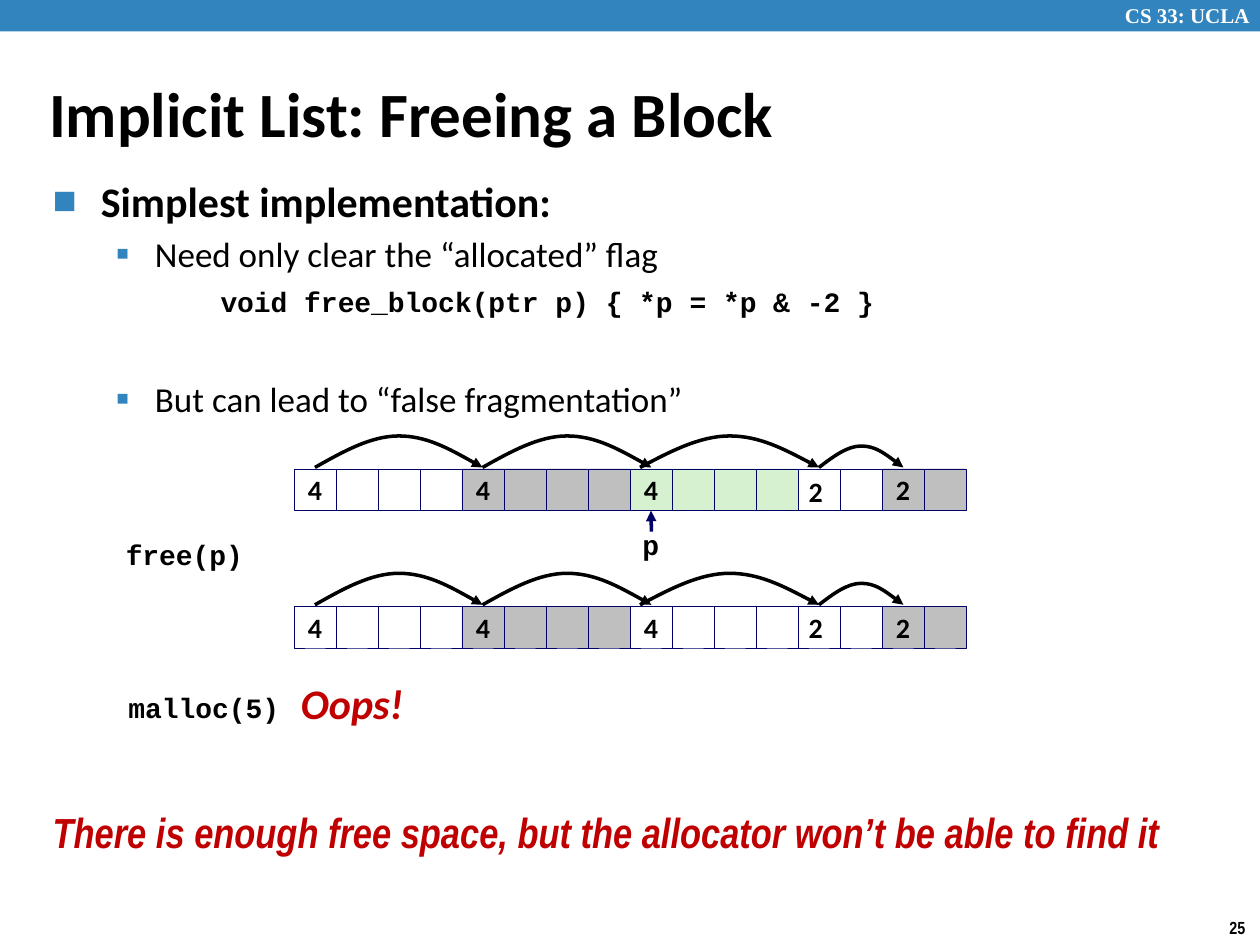
from lxml import etree
from pptx import Presentation, util as u
from pptx.dml.color import RGBColor
from pptx.enum import shapes, text
from pptx.oxml.ns import qn

Inches, Pt = u.Inches, u.Pt
hue = RGBColor.from_string
BLUE, NAVY, RED, BLACK, WHITE, GREY, GREEN = (
    "3284BF", "000066", "C00000", "000000", "FFFFFF", "BFBFBF", "D5F1CF")
SANS, MONO, THIN = "Calibri", "Courier New", "Arial Narrow"


def write(para, words, size, face=SANS, color=BLACK, bold=True, slant=False):
    run = para.add_run()
    run.text = words
    font = run.font
    font.size, font.name, font.bold, font.italic = Pt(size), face, bold, slant
    font.color.rgb = hue(color)


def arrow(item, color):
    item.line.color.rgb = hue(color)
    item.line.width = Pt(2)
    etree.SubElement(item.line._get_or_add_ln(), qn("a:tailEnd"), type="triangle")
    etree.SubElement(item._element.spPr, qn("a:effectLst"))


prs = Presentation()
prs.slide_width, prs.slide_height = Inches(10), Inches(7.5)
slide = prs.slides.add_slide(prs.slide_layouts[1])
title, body = slide.placeholders
parts = slide.shapes

# Header bar
bar = parts.add_shape(shapes.MSO_SHAPE.RECTANGLE, 0, 0, prs.slide_width, Inches(0.25))
bar.shadow.inherit = False
bar.fill.solid()
bar.fill.fore_color.rgb = hue(BLUE)
bar.line.fill.background()

# Title
title.left, title.top, title.width, title.height = map(Inches, (0.29, 0.58, 7.88, 0.63))
frame = title.text_frame
frame.auto_size = text.MSO_AUTO_SIZE.NONE
frame.vertical_anchor = text.MSO_ANCHOR.MIDDLE
para = frame.paragraphs[0]
para.alignment = text.PP_ALIGN.LEFT
write(para, "Implicit List: Freeing a Block", 36)

# Body list: words, level, size, face, bold, space before, margin, indent, bullet, bullet size
body.left, body.top, body.width, body.height = map(Inches, (0.32, 1.34, 9.09, 4.75))
frame = body.text_frame
frame.auto_size = text.MSO_AUTO_SIZE.NONE
lines = [
    ("Simplest implementation:", 0, 24, SANS, True, 0, 0.38, -0.38, "■", 60),
    ("Need only clear the “allocated” flag", 1, 20, SANS, False, 4, 0.81, -0.31, "▪", 110),
    ("void free_block(ptr p) { *p = *p & -2 }", 2, 16, MONO, True, 5.5, 1.33, 0, None, 0),
    ("But can lead to “false fragmentation”", 1, 20, SANS, False, 34, 0.81, -0.31, "▪", 110),
]
for i, (words, level, size, face, bold, gap, left, dent, mark, scale) in enumerate(lines):
    para = frame.add_paragraph() if i else frame.paragraphs[0]
    para.level = level
    props = para._p.get_or_add_pPr()
    props.set("marL", str(Inches(left)))
    props.set("indent", str(Inches(dent)))
    if mark:
        tint = etree.SubElement(props, qn("a:buClr"))
        etree.SubElement(tint, qn("a:srgbClr"), val=BLUE)
        etree.SubElement(props, qn("a:buSzPct"), val=str(scale * 1000))
        etree.SubElement(props, qn("a:buFont"), typeface=SANS)
        etree.SubElement(props, qn("a:buChar"), char=mark)
    else:
        etree.SubElement(props, qn("a:buNone"))
    para.space_before = Pt(gap)
    write(para, words, size, face, BLACK, bold)

# Heap rows: the third block is allocated above and free below
side, start = 1 / 3, 7 / 3
sizes = {0: "4", 4: "4", 8: "4", 14: "2"}
arcs = [(2.5, 3.83, 0.25), (3.83, 5.17, 0.25), (5.08, 6.5, 0.25), (6.5, 7.17, 0.17)]
rows = []
for top, third in ((3.72, GREEN), (4.81, WHITE)):
    fills = [WHITE] * 4 + [GREY] * 4 + [third] * 4 + [WHITE] * 2 + [GREY] * 2
    cells = []
    for i, fill in enumerate(fills):
        cell = parts.add_shape(shapes.MSO_SHAPE.RECTANGLE, Inches(start + i * side),
                               Inches(top), Inches(side), Inches(side))
        cell.shadow.inherit = False
        cell.fill.solid()
        cell.fill.fore_color.rgb = hue(fill)
        cell.line.color.rgb = hue(NAVY)
        cell.line.width = Pt(0.25)
        if i in sizes:
            frame = cell.text_frame
            frame.word_wrap = False
            frame.vertical_anchor = text.MSO_ANCHOR.MIDDLE
            frame.paragraphs[0].alignment = text.PP_ALIGN.CENTER
            write(frame.paragraphs[0], sizes[i], 16)
        cells.append(cell)
    rows.append(cells)

    # Curved links from block to block
    base = top - 0.01
    for x1, x2, rise in arcs:
        dots = [(Inches(x1 + (x2 - x1) * k / 6), Inches(base - rise * lift))
                for k, lift in enumerate((0, 0.5, 1, 1, 1, 0.5, 0))]
        pen = parts.build_freeform(*dots[0])
        pen.add_line_segments(dots[1:], close=False)
        arc = pen.convert_to_shape()
        # Turn each three straight steps into one cubic curve
        steps = list(arc._element.iter(qn("a:lnTo")))
        for k in (0, 3):
            curve = etree.SubElement(steps[0].getparent(), qn("a:cubicBezTo"))
            for step in steps[k:k + 3]:
                curve.append(step[0])
        for step in steps:
            step.getparent().remove(step)
        arc.fill.background()
        arrow(arc, BLACK)

# Pointer to the block being freed
ptr = parts.add_connector(shapes.MSO_CONNECTOR.STRAIGHT, Inches(5.17), Inches(4.22),
                          Inches(5.17), Inches(4.05))
ptr.end_connect(rows[0][8], 2)
arrow(ptr, NAVY)

# Labels: words, left, top, width, height, size, face, colour, slant
labels = [
    ("CS 33: UCLA", 8.83, -0.03, 1.24, 0.3, 12, "Times New Roman", WHITE, False),
    ("25", 9.66, 7.23, 0.34, 0.27, 10, THIN, BLACK, False),
    ("2", 6.32, 3.72, 0.31, 0.37, 16, SANS, BLACK, False),
    ("2", 6.32, 4.8, 0.31, 0.37, 16, SANS, BLACK, False),
    ("p", 5, 4.14, 0.33, 0.36, 16, MONO, BLACK, False),
    ("free(p)", 0.9, 4.22, 1.14, 0.36, 16, MONO, BLACK, False),
    ("malloc(5)", 0.92, 5.43, 1.41, 0.36, 16, MONO, BLACK, False),
    ("Oops!", 2.29, 5.33, 1.03, 0.5, 24, SANS, RED, True),
    ("There is enough free space, but the allocator won’t be able to find it",
     0.32, 6.35, 9.13, 0.81, 24, THIN, RED, True),
]
for words, left, top, wide, high, size, face, color, slant in labels:
    box = parts.add_textbox(*map(Inches, (left, top, wide, high)))
    box.text_frame.word_wrap = False
    write(box.text_frame.paragraphs[0], words, size, face, color, True, slant)

prs.save("out.pptx")
